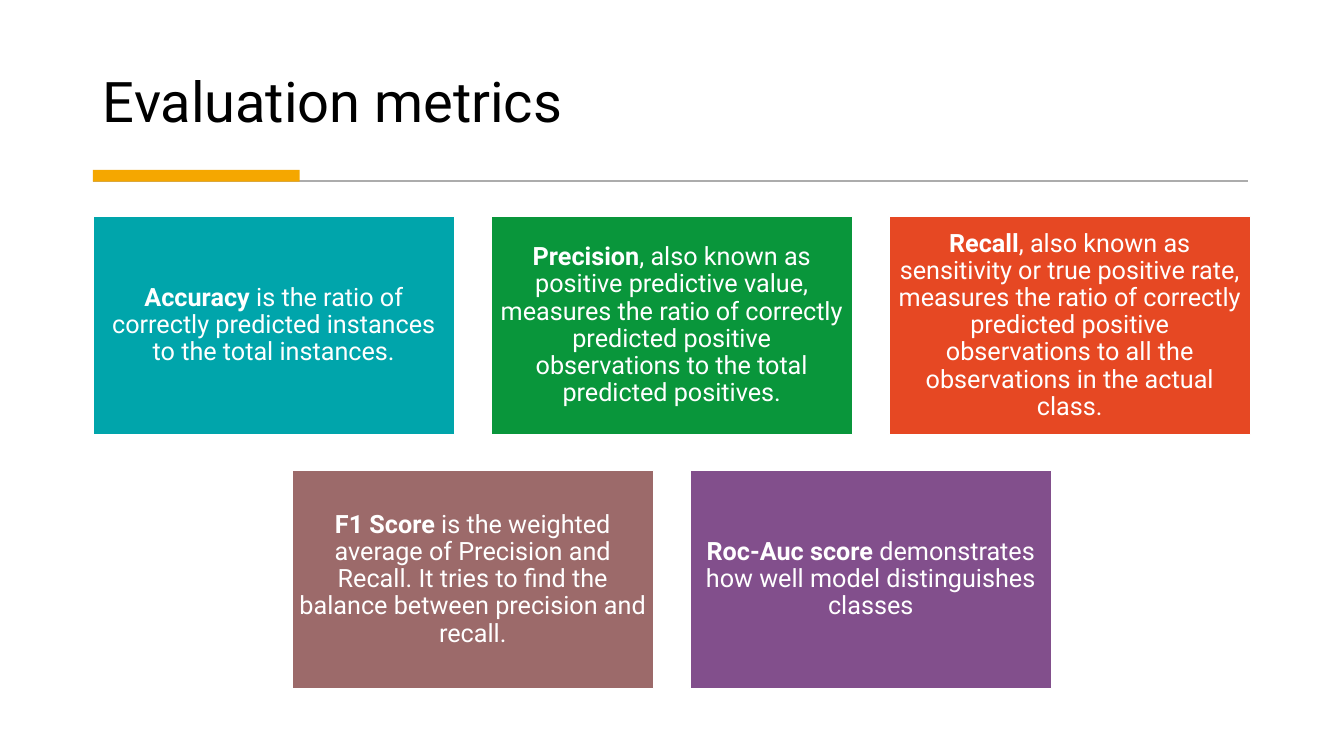
from lxml.etree import SubElement
from pptx import Presentation
from pptx.dml.color import RGBColor
from pptx.enum.shapes import MSO_CONNECTOR, MSO_SHAPE
from pptx.enum.text import MSO_ANCHOR, PP_ALIGN
from pptx.oxml.ns import qn
from pptx.util import Cm, Pt

FONT = "Roboto"
CARD_GAP = 0.91
CARDS_PER_ROW = 3

# Fill, bold term, explanation
METRICS = [
    ("00A5AB", "Accuracy",
     " is the ratio of correctly predicted instances to the total instances."),
    ("09963B", "Precision",
     ", also known as positive predictive value, measures the ratio of correctly "
     "predicted positive observations to the total predicted positives."),
    ("E64823", "Recall",
     ", also known as sensitivity or true positive rate, measures the ratio of correctly "
     "predicted positive observations to all the observations in the actual class."),
    ("9C6A6A", "F1 Score",
     " is the weighted average of Precision and Recall. It tries to find the balance "
     "between precision and recall."),
    ("824F8C", "Roc-Auc score ",
     "demonstrates how well model distinguishes classes"),
]


def color(hex_value):
    return RGBColor.from_string(hex_value)


def add_run(paragraph, text, size, hex_value, bold=False):
    run = paragraph.add_run()
    run.text = text
    run.font.name = FONT
    run.font.size = Pt(size)
    run.font.bold = bold
    run.font.color.rgb = color(hex_value)


def add_rectangle(slide, left, top, width, height, fill):
    shape = slide.shapes.add_shape(
        MSO_SHAPE.RECTANGLE, Cm(left), Cm(top), Cm(width), Cm(height))
    shape.shadow.inherit = False
    shape.fill.solid()
    shape.fill.fore_color.rgb = color(fill)
    shape.line.fill.background()
    return shape


def add_title(slide, left, top, width, height):
    title = slide.shapes.title
    title.left, title.top = Cm(left), Cm(top)
    title.width, title.height = Cm(width), Cm(height)
    title.text_frame.word_wrap = True
    title.text_frame.vertical_anchor = MSO_ANCHOR.BOTTOM
    paragraph = title.text_frame.paragraphs[0]
    paragraph.alignment = PP_ALIGN.LEFT
    paragraph.line_spacing = 0.9
    add_run(paragraph, "Evaluation metrics", 40, "000000")


def add_divider(slide, left, top, width, height):
    # Thin grey rule along the bottom of the box
    rule_y = Cm(top + height - 0.02)
    rule = slide.shapes.add_connector(
        MSO_CONNECTOR.STRAIGHT, Cm(left), rule_y, Cm(left + width), rule_y)
    rule.line.color.rgb = color("ACACAC")
    rule.line.width = Pt(1.25)
    SubElement(rule._element.spPr, qn("a:effectLst"))
    # Accent bar at its left end
    add_rectangle(slide, left, top, 5.21, height, "F5A700")


def add_card(slide, left, top, width, height, fill, term, explanation):
    card = add_rectangle(slide, left, top, width, height, fill)
    card.line.color.rgb = color("FFFFFF")
    card.line.width = Pt(1)
    frame = card.text_frame
    frame.word_wrap = True
    frame.vertical_anchor = MSO_ANCHOR.MIDDLE
    frame.margin_left = frame.margin_right = Cm(0.18)
    frame.margin_top = frame.margin_bottom = Cm(0.18)
    paragraph = frame.paragraphs[0]
    paragraph.alignment = PP_ALIGN.CENTER
    paragraph.line_spacing = 0.9
    add_run(paragraph, term, 18, "FFFFFF", bold=True)
    add_run(paragraph, explanation, 18, "FFFFFF")


def add_metric_cards(slide, left, top, width, height):
    rows = [METRICS[start:start + CARDS_PER_ROW]
            for start in range(0, len(METRICS), CARDS_PER_ROW)]
    card_width = (width - (CARDS_PER_ROW - 1) * CARD_GAP) / CARDS_PER_ROW
    card_height = (height - (len(rows) - 1) * CARD_GAP) / len(rows)
    for row_index, row in enumerate(rows):
        # Each row is centred in the box
        row_width = len(row) * (card_width + CARD_GAP) - CARD_GAP
        row_left = left + (width - row_width) / 2
        card_top = top + row_index * (card_height + CARD_GAP)
        for column, metric in enumerate(row):
            card_left = row_left + column * (card_width + CARD_GAP)
            add_card(slide, card_left, card_top, card_width, card_height, *metric)


def main():
    presentation = Presentation()
    presentation.slide_width = Cm(33.87)
    presentation.slide_height = Cm(19.05)
    slide = presentation.slides.add_slide(presentation.slide_layouts[5])
    slide.background.fill.solid()
    slide.background.fill.fore_color.rgb = color("FFFFFF")

    add_title(slide, 2.34, 0.71, 29.18, 2.82)
    add_divider(slide, 2.34, 4.28, 29.1, 0.3)
    add_metric_cards(slide, 2.34, 5.46, 29.18, 11.89)
    presentation.save("out.pptx")


if __name__ == "__main__":
    main()
